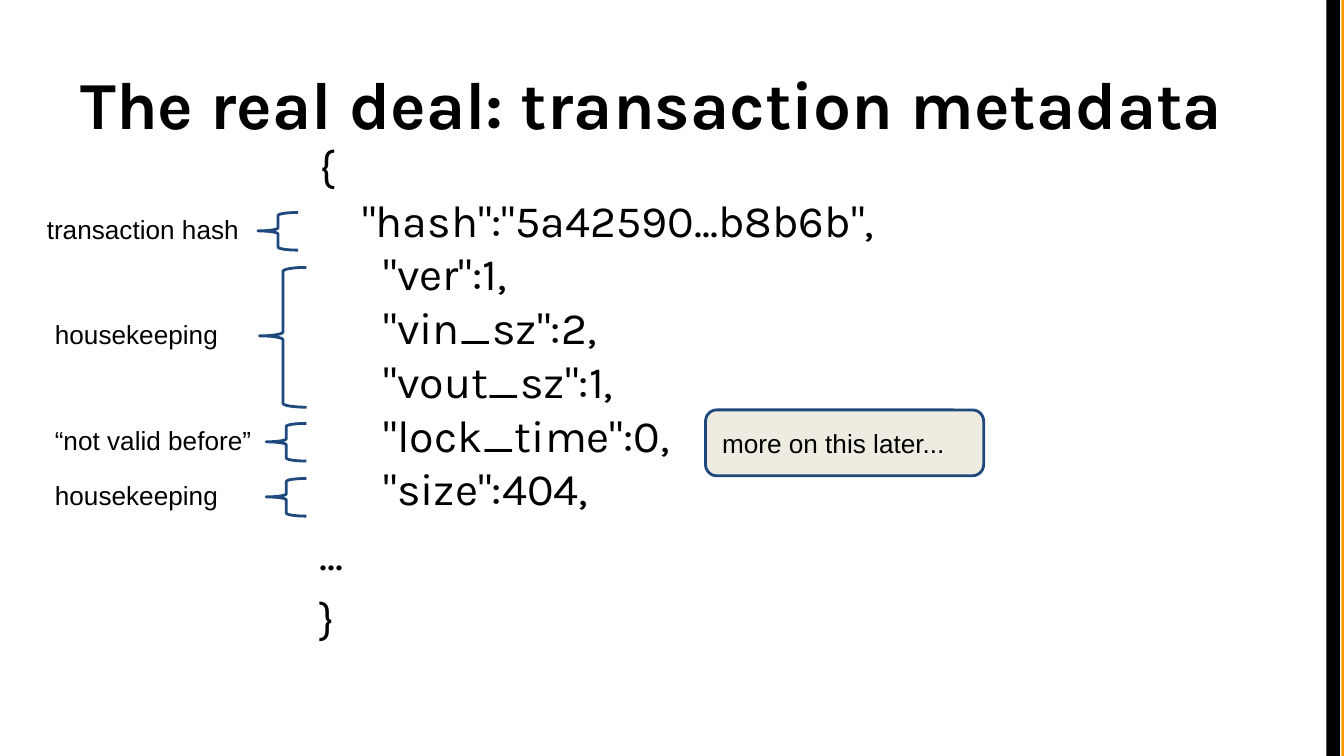
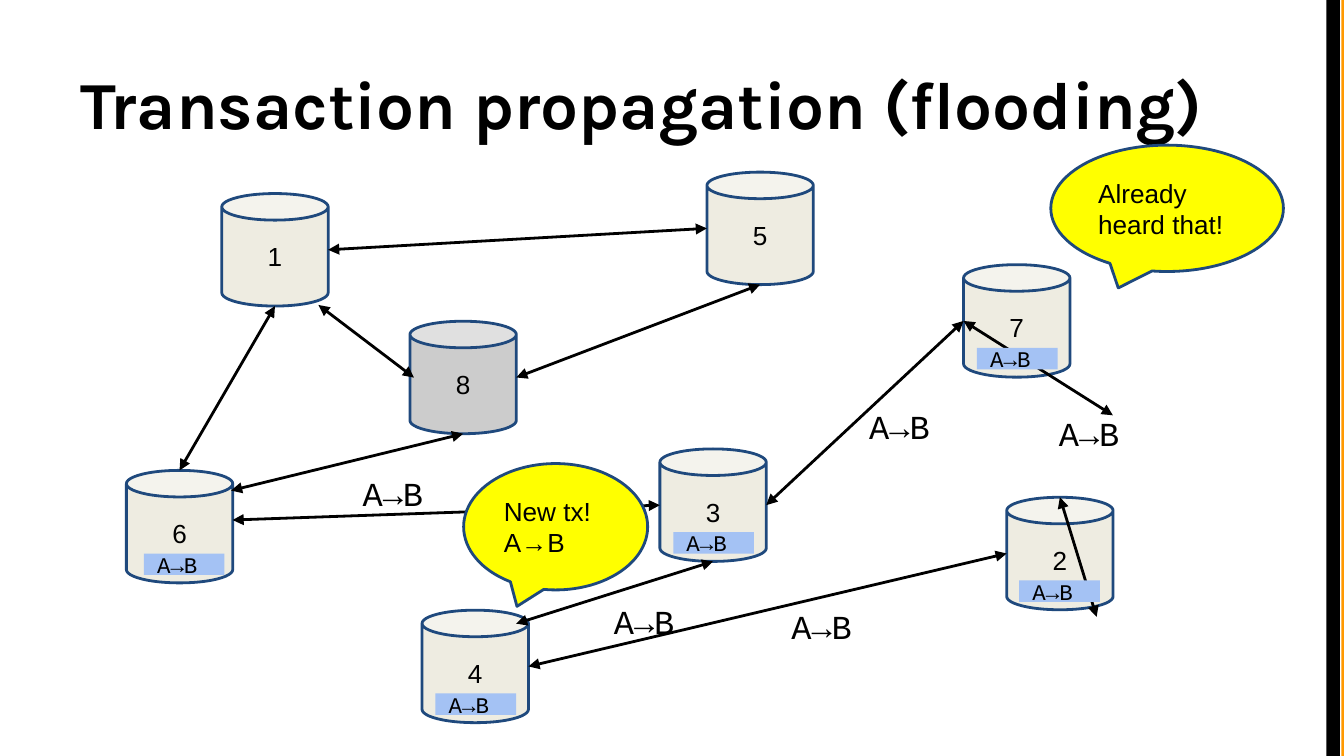
from dataclasses import dataclass
from typing import Optional, Union

import pptx
import pptx.dml.color
import pptx.enum.shapes
import pptx.enum.text
import pptx.oxml
import pptx.oxml.ns
import pptx.util
from lxml import etree

Pt = pptx.util.Pt
SHAPES = pptx.enum.shapes.MSO_SHAPE
ANCHOR = pptx.enum.text.MSO_ANCHOR
ALIGN = pptx.enum.text.PP_ALIGN

BLACK = "000000"
ORANGE = "FF9900"
NAVY = "1F497D"
CREAM = "EEECE1"
GRAY = "CCCCCC"
YELLOW = "FFFF00"
LIGHT_BLUE = "A4C2F4"
LINE_WIDTH = 1.5
INSET = 7.2
SLIDE_WIDTH, SLIDE_HEIGHT = 720, 405
NODE_WIDTH, NODE_HEIGHT = 57, 60.3
TRANSFER = "A→B"


@dataclass(frozen=True)
class Box:
    left: float
    top: float
    width: float
    height: float


@dataclass(frozen=True)
class TextStyle:
    font: str
    size: float
    bold: bool = False
    anchor: ANCHOR = ANCHOR.MIDDLE
    align: ALIGN = ALIGN.LEFT
    space_before: float = 0


TITLE = TextStyle("Karla", 36, bold=True, anchor=ANCHOR.BOTTOM)
CODE = TextStyle("Karla", 24, anchor=ANCHOR.TOP, space_before=6)
NOTE = TextStyle("Arial", 14, anchor=ANCHOR.TOP)
BUBBLE = TextStyle("Arial", 14)
NODE_NUMBER = TextStyle("Arial", 14, align=ALIGN.CENTER)
TAG = TextStyle("Courier New", 12)
LINK_LABEL = TextStyle("Courier New", 18)


@dataclass(frozen=True)
class Annotation:
    text: str
    label: Box
    brace: Box


@dataclass(frozen=True)
class Node:
    number: int
    left: float
    top: float
    tag_offset: Optional[float] = None
    fill: str = CREAM

    def side(self, name: str) -> tuple[float, float]:
        across, down = {"left": (0, 0.5), "right": (1, 0.5),
                        "top": (0.5, 0), "bottom": (0.5, 1)}[name]
        return self.left + across * NODE_WIDTH, self.top + down * NODE_HEIGHT


@dataclass(frozen=True)
class Side:
    number: int
    name: str


@dataclass(frozen=True)
class Point:
    x: float
    y: float


@dataclass(frozen=True)
class Link:
    start: Union[Side, Point]
    end: Union[Side, Point]


@dataclass(frozen=True)
class Callout:
    box: Box
    paragraphs: list[str]


CODE_PARAGRAPHS = [
    """{
    "hash":"5a42590...b8b6b",
      "ver":1,
      "vin_sz":2,
      "vout_sz":1,
      "lock_time":0,
      "size":404,""",
    "...",
    "}",
]

ANNOTATIONS = [
    Annotation("transaction hash", Box(18, 107.3, 124.6, 33.1), Box(138.2, 113.8, 21.6, 20.2)),
    Annotation("housekeeping", Box(22.3, 163.4, 116.6, 33.1), Box(139, 143.3, 25.2, 74.9)),
    Annotation("“not valid before”", Box(22.3, 220.3, 124.6, 33.1), Box(142.6, 226.8, 21.6, 20.2)),
    Annotation("housekeeping", Box(22.3, 249.8, 116.6, 33.1), Box(142.6, 256.3, 21.6, 20.2)),
]

NODES = [
    Node(1, 118.8, 103.7),
    Node(6, 67.7, 252, tag_offset=9.4),
    Node(4, 226.1, 326.9, tag_offset=7.2),
    Node(7, 516.2, 141.8, tag_offset=7.2),
    Node(3, 353.5, 240.5, tag_offset=7.2),
    Node(5, 378.7, 92.2),
    Node(2, 539.3, 266.4, tag_offset=6.7),
    Node(8, 219.6, 172.1, fill=GRAY),
]

LINKS = [
    Link(Side(1, "bottom"), Side(6, "top")),
    Link(Side(5, "left"), Side(1, "right")),
    Link(Side(3, "left"), Point(124.6, 278.6)),
    Link(Side(7, "left"), Side(3, "right")),
    Link(Point(596.2, 222.5), Side(7, "left")),
    Link(Side(3, "bottom"), Point(276.5, 334.1)),
    Link(Point(587.5, 330.5), Side(2, "top")),
    Link(Side(2, "left"), Side(4, "right")),
    Link(Point(170.6, 163.4), Point(221.8, 202.3)),
    Link(Side(8, "bottom"), Point(123.8, 262.8)),
    Link(Side(5, "bottom"), Side(8, "right")),
]

LINK_LABELS = [Point(416.9, 326.9), Point(560.2, 223.2), Point(321.8, 324),
               Point(187.2, 255.6), Point(458.6, 219.6)]

CALLOUTS = [
    Callout(Box(248.4, 248.4, 98.6, 67.7), ["New tx!", TRANSFER]),
    Callout(Box(563, 77.8, 124.6, 67.7), ["Already heard that!"]),
]


def color(value: str) -> pptx.dml.color.RGBColor:
    return pptx.dml.color.RGBColor.from_string(value)


def place(box: Box) -> tuple[int, int, int, int]:
    return Pt(box.left), Pt(box.top), Pt(box.width), Pt(box.height)


def write_text(shape, paragraphs: list[str], style: TextStyle) -> None:
    frame = shape.text_frame
    frame.word_wrap = True
    frame.vertical_anchor = style.anchor
    frame.margin_left = frame.margin_right = Pt(INSET)
    frame.margin_top = frame.margin_bottom = Pt(INSET)
    for index, text in enumerate(paragraphs):
        paragraph = frame.add_paragraph() if index else frame.paragraphs[0]
        paragraph.alignment = style.align
        paragraph.space_before = Pt(style.space_before if index else 0)
        for row, line in enumerate(text.split("\n")):
            if row:
                paragraph.add_line_break()
            run = paragraph.add_run()
            run.text = line
            run.font.name = style.font
            run.font.size = Pt(style.size)
            run.font.bold = style.bold
            run.font.color.rgb = color(BLACK)


def add_text(slide, box: Box, paragraphs: list[str], style: TextStyle) -> None:
    write_text(slide.shapes.add_textbox(*place(box)), paragraphs, style)


def add_shape(slide, kind: SHAPES, box: Box, fill: Optional[str] = None,
              line: Optional[str] = None, adjustments: tuple[float, ...] = ()):
    shape = slide.shapes.add_shape(kind, *place(box))
    shape.shadow.inherit = False
    if fill:
        shape.fill.solid()
        shape.fill.fore_color.rgb = color(fill)
    else:
        shape.fill.background()
    if line:
        shape.line.color.rgb = color(line)
        shape.line.width = Pt(LINE_WIDTH)
    else:
        shape.line.fill.background()
    for index, value in enumerate(adjustments):
        shape.adjustments[index] = value
    return shape


def add_double_arrow(slide, start: tuple[float, float], end: tuple[float, float]) -> None:
    connector = slide.shapes.add_connector(
        pptx.enum.shapes.MSO_CONNECTOR.STRAIGHT, *map(Pt, (*start, *end)))
    connector.line.color.rgb = color(BLACK)
    connector.line.width = Pt(LINE_WIDTH)
    outline = connector.line._get_or_add_ln()
    for tag in ("a:headEnd", "a:tailEnd"):
        etree.SubElement(outline, pptx.oxml.ns.qn(tag), type="triangle")
    etree.SubElement(connector._element.spPr, pptx.oxml.ns.qn("a:effectLst"))


def add_titled_slide(presentation, title: str):
    slide = presentation.slides.add_slide(presentation.slide_layouts[6])
    for left, fill in ((718.6, ORANGE), (710.6, BLACK)):
        add_shape(slide, SHAPES.RECTANGLE, Box(left, 0, 7.2, SLIDE_HEIGHT), fill)
    add_text(slide, Box(36, 16.2, 648, 67.7), [title], TITLE)
    return slide


def add_metadata_slide(presentation) -> None:
    slide = add_titled_slide(presentation, "The real deal: transaction metadata")
    add_text(slide, Box(164.2, 67, 648, 326.2), CODE_PARAGRAPHS, CODE)
    for annotation in ANNOTATIONS:
        add_text(slide, annotation.label, [annotation.text], NOTE)
        add_shape(slide, SHAPES.LEFT_BRACE, annotation.brace, line=NAVY,
                  adjustments=(0.08, 0.49))
    remark = add_shape(slide, SHAPES.ROUNDED_RECTANGLE, Box(378, 219.6, 149, 35.3),
                       CREAM, NAVY, (0.17,))
    write_text(remark, ["more on this later..."], BUBBLE)


def add_flooding_slide(presentation) -> None:
    slide = add_titled_slide(presentation, "Transaction propagation (flooding)")
    nodes = {node.number: node for node in NODES}

    def locate(end: Union[Side, Point]) -> tuple[float, float]:
        if isinstance(end, Point):
            return end.x, end.y
        return nodes[end.number].side(end.name)

    for node in NODES:
        can = add_shape(slide, SHAPES.CAN, Box(node.left, node.top, NODE_WIDTH, NODE_HEIGHT),
                        node.fill, NAVY, (0.25,))
        write_text(can, [str(node.number)], NODE_NUMBER)
    for link in LINKS:
        add_double_arrow(slide, locate(link.start), locate(link.end))
    for node in NODES:
        if node.tag_offset is not None:
            box = Box(node.left + node.tag_offset, node.top + 44.6, 43.2, 11.5)
            tag = add_shape(slide, SHAPES.RECTANGLE, box, LIGHT_BLUE)
            write_text(tag, [TRANSFER], TAG)
    for point in LINK_LABELS:
        add_text(slide, Box(point.x, point.y, 50.4, 17.3), [TRANSFER], LINK_LABEL)
    for callout in CALLOUTS:
        bubble = add_shape(slide, SHAPES.OVAL_CALLOUT, callout.box, YELLOW, NAVY, (-0.21, 0.63))
        write_text(bubble, callout.paragraphs, BUBBLE)


def main() -> None:
    presentation = pptx.Presentation()
    presentation.slide_width = Pt(SLIDE_WIDTH)
    presentation.slide_height = Pt(SLIDE_HEIGHT)
    add_metadata_slide(presentation)
    add_flooding_slide(presentation)
    presentation.save("out.pptx")


if __name__ == "__main__":
    main()
